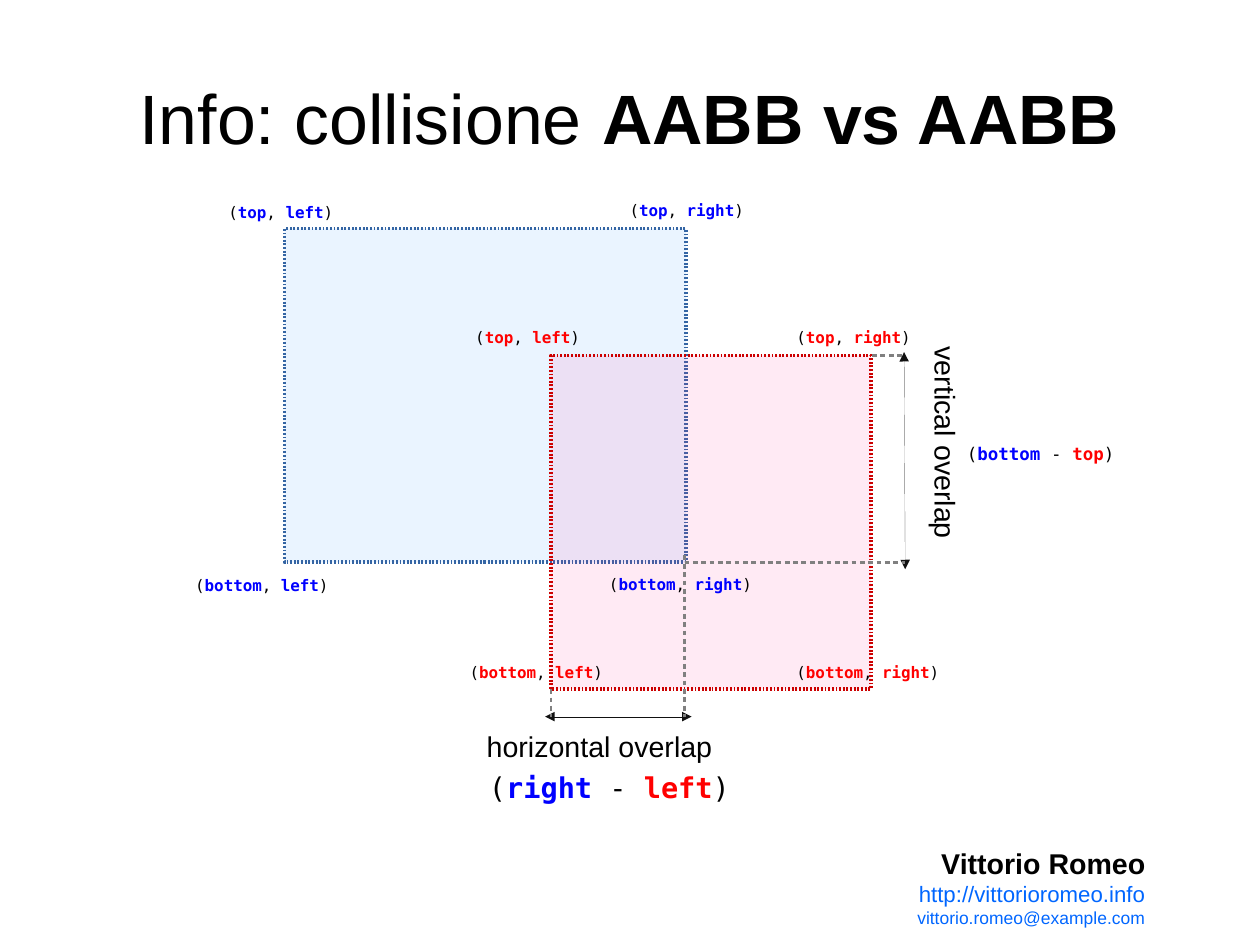
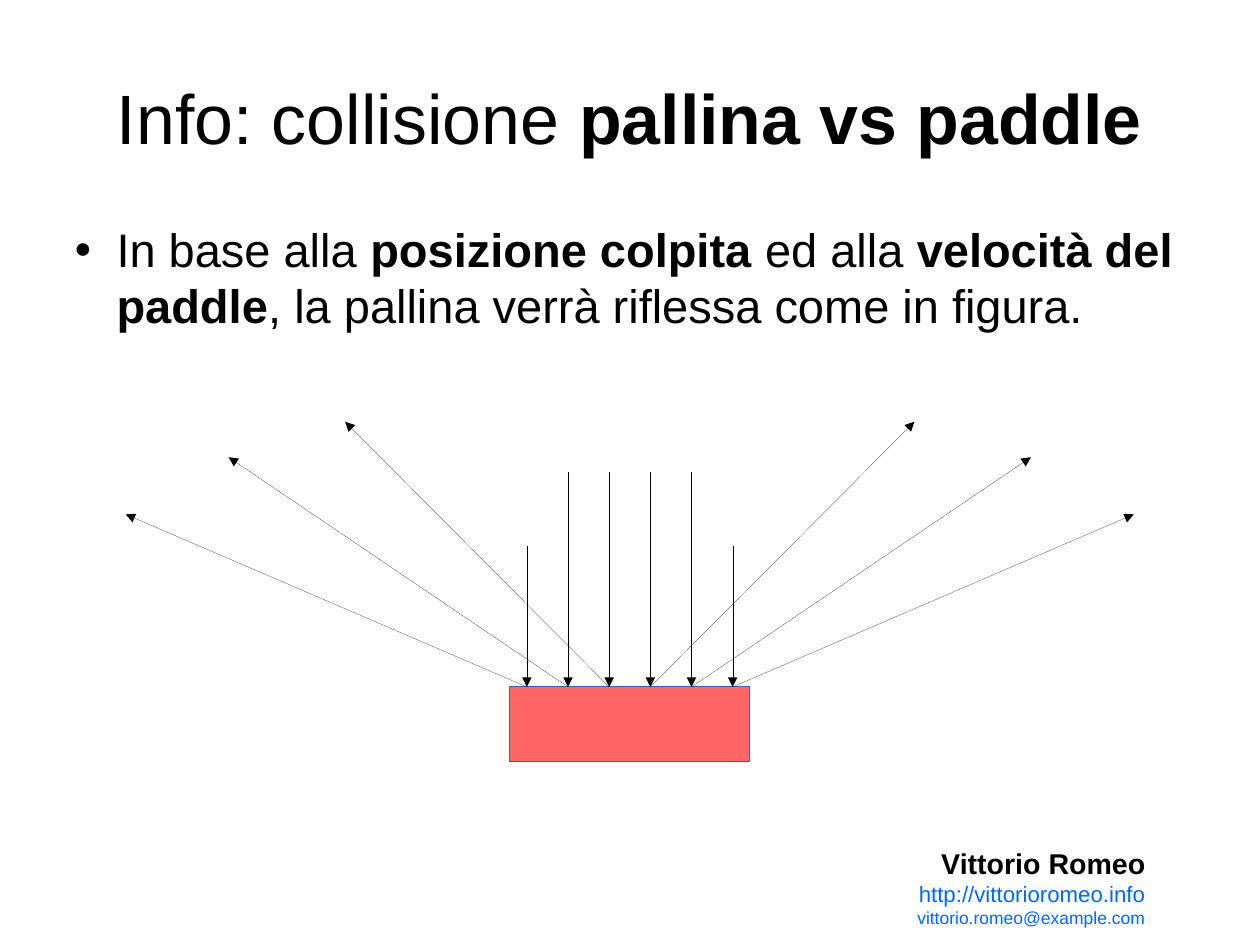
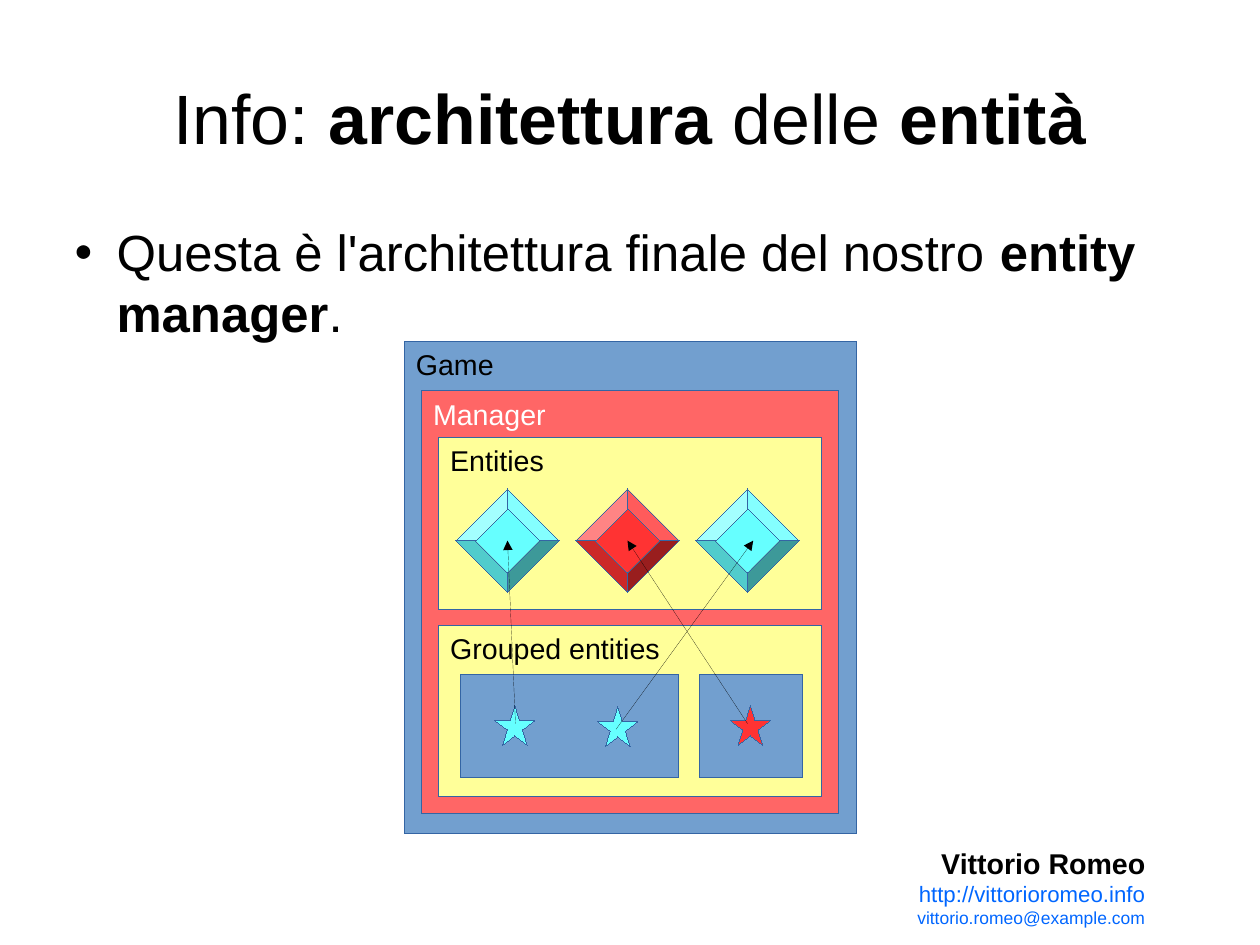
"""Build three slides on collisions and entity architecture."""
from lxml.etree import SubElement
from pptx import Presentation
from pptx.dml.color import RGBColor
from pptx.enum.shapes import MSO_CONNECTOR, MSO_SHAPE
from pptx.enum.text import MSO_ANCHOR, PP_ALIGN
from pptx.oxml.ns import qn
from pptx.util import Inches, Pt

SANS, MONO = "Arial", "DejaVu Sans Mono"
BLACK, WHITE, BLUE, RED, LINK = "000000", "FFFFFF", "0000FF", "FF0000", "0066FF"
OUTLINE, STEEL, CORAL, YELLOW = "3465A4", "729FCF", "FF6666", "FFFF99"
CYAN, SCARLET, GREY, INK = "66FFFF", "FF3333", "808080", "111111"
DOTS, DASHES = (50, 50), (200, 150)
PAGE_SIZE = (28 / 2.54, 21 / 2.54)

FOOTER = [
    ("*Vittorio Romeo*", 18, BLACK),
    ("http://vittorioromeo.info", 14, LINK),
    ("vittorio.romeo@example.com", 11, LINK),
]

AABB_TITLE = "Info: collisione *AABB vs AABB*"
AABB_BOXES = [
    ((2.49, 2, 3.51, 2.92), "3399FF", OUTLINE),
    ((4.82, 3.11, 2.8, 2.92), "FF3399", "CC0000"),
]
OVERLAP_ARROWS = [((4.77, 6.27), (6.05, 6.27)), ((7.91, 3.08), (7.92, 4.98))]
GUIDES = [
    ((4.82, 6.03), (4.82, 6.27)),
    ((5.99, 4.86), (5.99, 6.27)),
    ((5.99, 4.92), (7.92, 4.92)),
    ((7.63, 3.11), (7.92, 3.11)),
]
OVERLAP_NAMES = [
    ("horizontal overlap", (4.16, 6.33, 2.53, 0.44), 0),
    ("vertical overlap", (7.16, 3.81, 2.19, 0.44), 90),
]
OVERLAP_FORMULAS = [
    ("(*right* - *left*)", (4.18, 6.69, 2.47, 0.41), 18),
    ("(*bottom* - *top*)", (8.36, 3.83, 2.11, 0.35), 11),
]
CORNERS = [
    ("top", "left", BLUE, 1.9, 1.72),
    ("top", "right", BLUE, 5.41, 1.71),
    ("bottom", "left", BLUE, 1.61, 4.99),
    ("bottom", "right", BLUE, 5.23, 4.98),
    ("bottom", "left", RED, 4.01, 5.75),
    ("bottom", "right", RED, 6.87, 5.75),
    ("top", "left", RED, 4.06, 2.82),
    ("top", "right", RED, 6.87, 2.82),
]

PADDLE_TITLE = "Info: collisione *pallina vs paddle*"
PADDLE_TEXT = ("In base alla *posizione colpita *ed alla *velocità del paddle*"
               ", la pallina verrà riflessa come in figura.")
PADDLE = (4.46, 6.01, 2.1, 0.65)
BOUNCES = [(0.18, 4.13, 2.49, 3.69), (0.54, 4.13, 3.51, 4), (0.9, 4.78, 4.41, 4.5)]

ENTITY_TITLE = "Info: *architettura *delle *entità*"
ENTITY_TEXT = "Questa è l'architettura finale del nostro *entity manager*."
PANELS = [
    ("Game", (3.54, 2.99, 3.95, 4.3), STEEL, BLACK),
    ("Manager", (3.69, 3.42, 3.65, 3.7), CORAL, WHITE),
    ("Entities", (3.84, 3.83, 3.35, 1.5), YELLOW, BLACK),
    ("Grouped entities", (3.84, 5.47, 3.35, 1.5), YELLOW, BLACK),
]
GROUPS = [(4.03, 5.9, 1.91, 0.9), (6.12, 5.9, 0.9, 0.9)]
GEM_COLORS = [CYAN, SCARLET, CYAN]
GEM_X, GEM_Y, GEM_STEP, GEM_SIDE = 4.44, 4.73, 1.05, 0.64
STARS = [(4.33, 6.17, CYAN), (5.23, 6.18, CYAN), (6.39, 6.17, SCARLET)]
REFERENCES = [
    ((4.51, 6.33), (4.44, 4.73)),
    ((5.39, 6.38), (6.59, 4.73)),
    ((6.54, 6.33), (5.49, 4.73)),
]


def rgb(value):
    return RGBColor.from_string(value)


def write(para, text, size=18, font=SANS, color=BLACK, accents=(), align=PP_ALIGN.LEFT):
    """Write text whose starred parts are bold, each in its accent colour if given."""
    para.alignment = align
    for index, part in enumerate(text.split("*")):
        if not part:
            continue
        bold = index % 2 == 1
        span = para.add_run()
        span.text = part
        span.font.name = font
        span.font.size = Pt(size)
        span.font.bold = bold
        span.font.color.rgb = rgb(accents[index // 2] if bold and accents else color)


def fill_frame(frame, text=None, margins=(0.1, 0.05), anchor=MSO_ANCHOR.TOP, **style):
    frame.word_wrap = True
    frame.vertical_anchor = anchor
    frame.margin_left = frame.margin_right = Inches(margins[0])
    frame.margin_top = frame.margin_bottom = Inches(margins[1])
    if text:
        write(frame.paragraphs[0], text, **style)
    return frame


def add_text(page, at, text=None, rotation=0, **style):
    box = page.shapes.add_textbox(*map(Inches, at))
    box.rotation = rotation
    return fill_frame(box.text_frame, text, **style)


def draw_outline(shape, color, width, dash=None):
    """Set the outline and drop the theme style that would thicken hairlines."""
    shape._element.remove(shape._element.find(qn("p:style")))
    shape.line.color.rgb = rgb(color)
    shape.line.width = Pt(width)
    outline = shape.line._get_or_add_ln()
    if dash:
        mark, gap = (str(part * 1000) for part in dash)
        SubElement(SubElement(outline, qn("a:custDash")), qn("a:ds"), d=mark, sp=gap)
    return outline


def add_shape(page, kind, at, fill, line=OUTLINE, width=0, dash=None):
    shape = page.shapes.add_shape(kind, *map(Inches, at))
    shape.shadow.inherit = False
    shape.fill.solid()
    shape.fill.fore_color.rgb = rgb(fill)
    draw_outline(shape, line, width, dash)
    return shape


def add_line(page, start, end, color=BLACK, width=0, dash=None, heads=("tailEnd",)):
    points = map(Inches, (*start, *end))
    connector = page.shapes.add_connector(MSO_CONNECTOR.STRAIGHT, *points)
    outline = draw_outline(connector, color, width, dash)
    for head in heads:
        SubElement(outline, qn(f"a:{head}"), type="triangle")
    SubElement(connector._element.spPr, qn("a:effectLst"))


def add_page(deck, title):
    page = deck.slides.add_slide(deck.slide_layouts[6])
    page.background.fill.solid()
    page.background.fill.fore_color.rgb = rgb(WHITE)
    frame = add_text(page, (7.12, 7.35, 3, 0.77))
    for index, (text, size, color) in enumerate(FOOTER):
        para = frame.add_paragraph() if index else frame.paragraphs[0]
        write(para, text, size=size, color=color, align=PP_ALIGN.RIGHT)
    add_text(page, (0.55, 0.33, 9.92, 1.38), title, margins=(0, 0),
             anchor=MSO_ANCHOR.MIDDLE, size=44, align=PP_ALIGN.CENTER)
    return page


def add_bullet(page, text, size):
    frame = add_text(page, (0.55, 1.93, 9.9, 1.06), text, margins=(0, 0), size=size)
    para = frame.paragraphs[0]
    para.space_after = Pt(14.2)
    properties = para._p.get_or_add_pPr()
    properties.set("marL", str(Inches(0.47)))
    properties.set("indent", str(Inches(-0.35)))
    SubElement(SubElement(properties, qn("a:buClr")), qn("a:srgbClr"), val=BLACK)
    SubElement(properties, qn("a:buSzPct"), val="45000")
    SubElement(properties, qn("a:buFont"), typeface=MONO)
    SubElement(properties, qn("a:buChar"), char="●")


def build_aabb(deck):
    page = add_page(deck, AABB_TITLE)
    for at, fill, line in AABB_BOXES:
        box = add_shape(page, MSO_SHAPE.RECTANGLE, at, fill, line, 2.3, DOTS)
        color = box._element.spPr.find(qn("a:solidFill")).find(qn("a:srgbClr"))
        SubElement(color, qn("a:alpha"), val="10000")
    for start, end in OVERLAP_ARROWS:
        add_line(page, start, end, INK, heads=("headEnd", "tailEnd"))
    for start, end in GUIDES:
        add_line(page, start, end, GREY, 1.5, DASHES, heads=())
    for text, at, rotation in OVERLAP_NAMES:
        add_text(page, at, text, rotation)
    for text, at, size in OVERLAP_FORMULAS:
        add_text(page, at, text, size=size, font=MONO, accents=(BLUE, RED))
    for row, column, color, left, top in CORNERS:
        add_text(page, (left, top, 1.64, 0.28), f"(*{row}*, *{column}*)",
                 size=10, font=MONO, accents=(color, color))


def build_paddle(deck):
    page = add_page(deck, PADDLE_TITLE)
    add_bullet(page, PADDLE_TEXT, 29.6)
    add_shape(page, MSO_SHAPE.RECTANGLE, PADDLE, CORAL)
    left, top, width, _ = PADDLE
    center = left + width / 2
    for side in (-1, 1):
        for offset, start_y, reach, end_y in BOUNCES:
            hit = (center + side * offset, top)
            add_line(page, (hit[0], start_y), hit)
            add_line(page, hit, (center + side * reach, end_y))


def build_entities(deck):
    page = add_page(deck, ENTITY_TITLE)
    add_bullet(page, ENTITY_TEXT, 32)
    for text, at, fill, color in PANELS:
        panel = add_shape(page, MSO_SHAPE.RECTANGLE, at, fill)
        fill_frame(panel.text_frame, text, color=color)
    for index, color in enumerate(GEM_COLORS):
        left = GEM_X + index * GEM_STEP - GEM_SIDE / 2
        at = (left, GEM_Y - GEM_SIDE / 2, GEM_SIDE, GEM_SIDE)
        gem = add_shape(page, MSO_SHAPE.BEVEL, at, color)
        gem.adjustments[0] = 0.19
        gem.rotation = 45
    for at in GROUPS:
        add_shape(page, MSO_SHAPE.RECTANGLE, at, STEEL)
    for left, top, color in STARS:
        add_shape(page, MSO_SHAPE.STAR_5_POINT, (left, top, 0.35, 0.35), color)
    for start, end in REFERENCES:
        add_line(page, start, end)


def main():
    deck = Presentation()
    deck.slide_width, deck.slide_height = map(Inches, PAGE_SIZE)
    for build in (build_aabb, build_paddle, build_entities):
        build(deck)
    deck.save("out.pptx")


if __name__ == "__main__":
    main()
